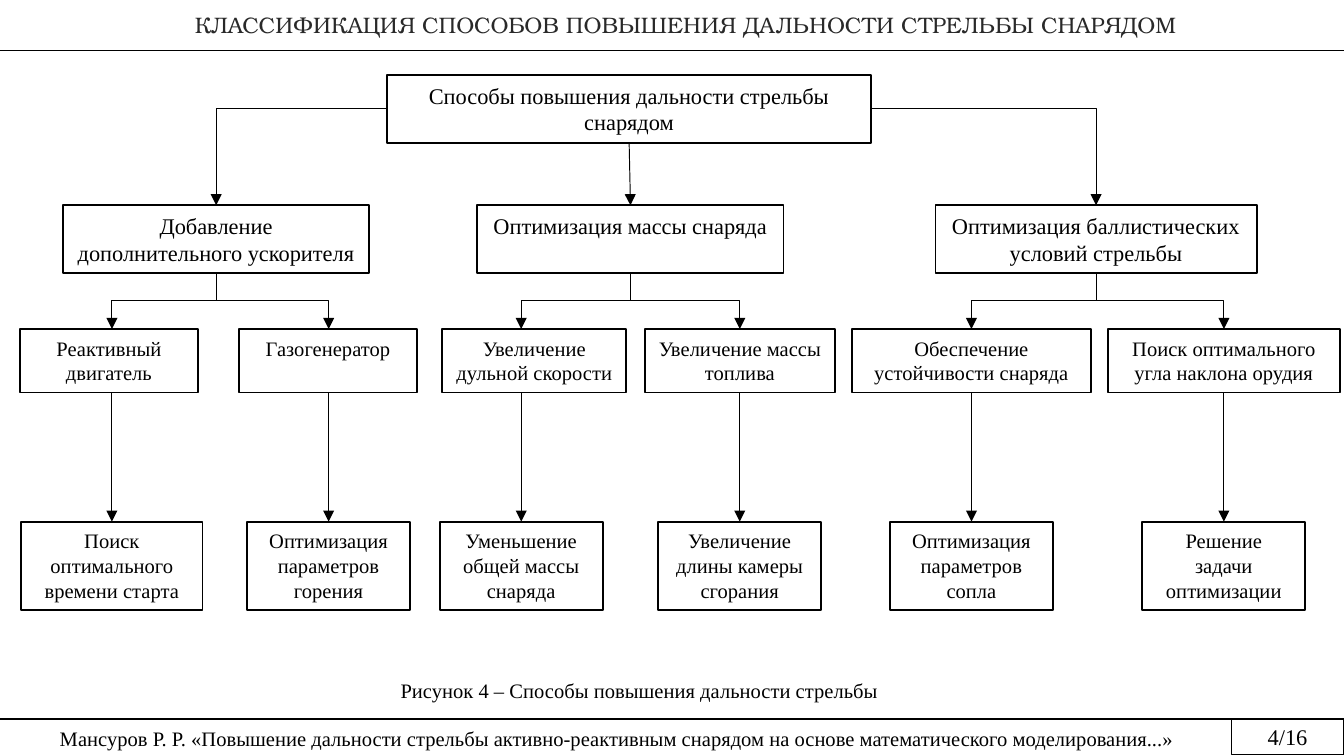
import pptx
import pptx.util
from pptx.dml.color import RGBColor
from pptx.enum.shapes import MSO_CONNECTOR, MSO_SHAPE
from pptx.enum.text import MSO_ANCHOR, MSO_AUTO_SIZE, PP_ALIGN
from pptx.oxml.ns import qn
from pptx.util import Cm, Pt
import lxml.etree

BLACK = RGBColor(0x00, 0x00, 0x00)
WHITE = RGBColor(0xFF, 0xFF, 0xFF)
TITLE_GREY = RGBColor(0x29, 0x29, 0x29)
BODY_FONT = "Times New Roman"
TITLE_FONT = "TeX Gyre Bonum"

# Content: lengths in centimetres
SLIDE_WIDTH, SLIDE_HEIGHT = 25.4, 14.29
TITLE = "КЛАССИФИКАЦИЯ СПОСОБОВ ПОВЫШЕНИЯ ДАЛЬНОСТИ СТРЕЛЬБЫ СНАРЯДОМ"
CAPTION = "Рисунок 4 – Способы повышения дальности стрельбы"
FOOTER = ("Мансуров Р. Р. «Повышение дальности стрельбы активно-реактивным снарядом "
          "на основе математического моделирования...»")
PAGE = "4/16"

# Each box: text, left, width
ROOT = ("Способы повышения дальности стрельбы снарядом", 7.32, 9.14)
# Each branch: its box, then pairs of method and task boxes
BRANCHES = [
    (("Добавление дополнительного ускорителя", 1.19, 5.79), [
        (("Реактивный двигатель", 0.38, 3.36),
         ("Поиск оптимального времени старта", 0.40, 3.43)),
        (("Газогенератор", 4.52, 3.36),
         ("Оптимизация параметров горения", 4.67, 3.08)),
    ]),
    (("Оптимизация массы снаряда", 9.02, 5.79), [
        (("Увеличение дульной скорости", 8.36, 3.48),
         ("Уменьшение общей массы снаряда", 8.31, 3.08)),
        (("Увеличение массы топлива", 12.19, 3.59),
         ("Увеличение длины камеры сгорания", 12.44, 3.08)),
    ]),
    (("Оптимизация баллистических\nусловий стрельбы", 17.68, 6.07), [
        (("Обеспечение устойчивости снаряда", 16.10, 4.52),
         ("Оптимизация параметров сопла", 16.82, 3.08)),
        (("Поиск оптимального угла наклона орудия", 20.94, 4.38),
         ("Решение задачи оптимизации", 21.59, 3.08)),
    ]),
]
# Rows: top, height, text size
ROOT_ROW = (1.42, 1.28, 12)
BRANCH_ROW = (3.88, 1.28, 12)
METHOD_ROW = (6.22, 1.20, 11)
TASK_ROW = (9.86, 1.68, 11)
TITLE_RULE, FOOTER_RULE = 0.96, 13.59


def write(shape, text, size=11, font=BODY_FONT, color=BLACK, align=PP_ALIGN.CENTER,
          anchor=MSO_ANCHOR.TOP, fit=MSO_AUTO_SIZE.SHAPE_TO_FIT_TEXT, margins=None):
    frame = shape.text_frame
    frame.text = text
    frame.word_wrap = True
    frame.auto_size = fit
    frame.vertical_anchor = anchor
    if margins:
        (frame.margin_left, frame.margin_top,
         frame.margin_right, frame.margin_bottom) = map(Cm, margins)
    for paragraph in frame.paragraphs:
        paragraph.alignment = align
        for run in paragraph.runs:
            run.font.name = font
            run.font.size = Pt(size)
            run.font.bold = False
            run.font.color.rgb = color


def add_rectangle(slide, left, top, width, height, line_width):
    shape = slide.shapes.add_shape(
        MSO_SHAPE.RECTANGLE, Cm(left), Cm(top), Cm(width), Cm(height))
    shape.shadow.inherit = False
    shape.line.color.rgb = BLACK
    shape.line.width = Pt(line_width)
    return shape


def add_box(slide, box, row):
    text, left, width = box
    top, height, size = row
    shape = add_rectangle(slide, left, top, width, height, 1)
    shape.fill.solid()
    shape.fill.fore_color.rgb = WHITE
    write(shape, text, size=size)


def add_line(slide, start, end, width=0.5, arrow=True, kind=MSO_CONNECTOR.STRAIGHT):
    connector = slide.shapes.add_connector(kind, *map(Cm, (*start, *end)))
    connector.line.color.rgb = BLACK
    connector.line.width = Pt(width)
    if arrow:
        line = connector.line._get_or_add_ln()
        lxml.etree.SubElement(line, qn("a:tailEnd"), type="triangle")
    lxml.etree.SubElement(connector.element.spPr, qn("a:effectLst"))
    return connector


def add_corner(slide, start, end):
    """One bend: sideways, then down."""
    connector = add_line(slide, start, end, kind=MSO_CONNECTOR.ELBOW)
    properties = connector.element.spPr
    properties.find(qn("a:prstGeom")).set("prst", "bentConnector2")
    if end[0] < start[0]:
        transform = properties.find(qn("a:xfrm"))
        transform.attrib.pop("flipH", None)
        transform.set("rot", str(180 * 60000))
        transform.set("flipV", "1")


def add_fork(slide, start, end):
    """Two bends: down, sideways, down; an elbow turned by a quarter."""
    connector = add_line(slide, start, end, kind=MSO_CONNECTOR.ELBOW)
    transform = connector.element.spPr.find(qn("a:xfrm"))
    to_left = end[0] < start[0]
    transform.attrib.pop("flipH", None)
    transform.set("rot", str((90 if to_left else 270) * 60000))
    if not to_left:
        transform.set("flipH", "1")
    across, down = abs(end[0] - start[0]), end[1] - start[1]
    connector.left = Cm((start[0] + end[0] - down) / 2)
    connector.top = Cm((start[1] + end[1] - across) / 2)
    connector.width, connector.height = Cm(down), Cm(across)


def center(box):
    return box[1] + box[2] / 2


def bottom(row):
    return row[0] + row[1]


def build_frame(slide):
    # Title and rules
    title = slide.shapes.title
    title.left, title.top, title.width, title.height = map(Cm, (0, 0, SLIDE_WIDTH, 0.94))
    title.fill.solid()
    title.fill.fore_color.rgb = WHITE
    write(title, TITLE, size=12, font=TITLE_FONT, color=TITLE_GREY,
          anchor=MSO_ANCHOR.MIDDLE, fit=MSO_AUTO_SIZE.NONE, margins=(0.56, 0.03, 0.03, 0.03))
    add_line(slide, (0, TITLE_RULE), (SLIDE_WIDTH, TITLE_RULE), width=0.75, arrow=False)
    add_line(slide, (0, FOOTER_RULE), (23.32, FOOTER_RULE), width=0.75, arrow=False)

    # Footer, page number and caption
    footer = slide.shapes.add_textbox(Cm(0), Cm(13.62), Cm(23.32), Cm(0.66))
    write(footer, FOOTER, anchor=MSO_ANCHOR.MIDDLE, margins=(0.18, 0.1, 0.18, 0.1))
    footer.text_frame.paragraphs[0].space_after = Pt(4.5)
    page = add_rectangle(slide, 23.27, FOOTER_RULE, 2.13, 0.67, 0.75)
    page.fill.background()
    write(page, PAGE, size=12, anchor=MSO_ANCHOR.MIDDLE, fit=MSO_AUTO_SIZE.NONE)
    caption = slide.shapes.add_textbox(Cm(7.32), Cm(12.7), Cm(12.9), Cm(0.73))
    write(caption, CAPTION, align=PP_ALIGN.LEFT)


def build_tree(slide):
    add_box(slide, ROOT, ROOT_ROW)
    root_middle = ROOT_ROW[0] + ROOT_ROW[1] / 2
    for branch, pairs in BRANCHES:
        add_box(slide, branch, BRANCH_ROW)
        branch_x = center(branch)

        # Root to branch: from the side, or straight down beneath the root
        end = (branch_x, BRANCH_ROW[0])
        if branch_x < ROOT[1]:
            add_corner(slide, (ROOT[1], root_middle), end)
        elif branch_x > ROOT[1] + ROOT[2]:
            add_corner(slide, (ROOT[1] + ROOT[2], root_middle), end)
        else:
            add_line(slide, (center(ROOT), bottom(ROOT_ROW)), end)

        # Branch to methods, and each method to its task
        for method, task in pairs:
            add_box(slide, method, METHOD_ROW)
            add_box(slide, task, TASK_ROW)
            task_x = center(task)
            add_fork(slide, (branch_x, bottom(BRANCH_ROW)), (task_x, METHOD_ROW[0]))
            add_line(slide, (task_x, bottom(METHOD_ROW)), (task_x, TASK_ROW[0]))


def main():
    presentation = pptx.Presentation()
    presentation.slide_width = Cm(SLIDE_WIDTH)
    presentation.slide_height = Cm(SLIDE_HEIGHT)
    slide = presentation.slides.add_slide(presentation.slide_layouts[5])
    build_frame(slide)
    build_tree(slide)
    presentation.save("out.pptx")


if __name__ == "__main__":
    main()
